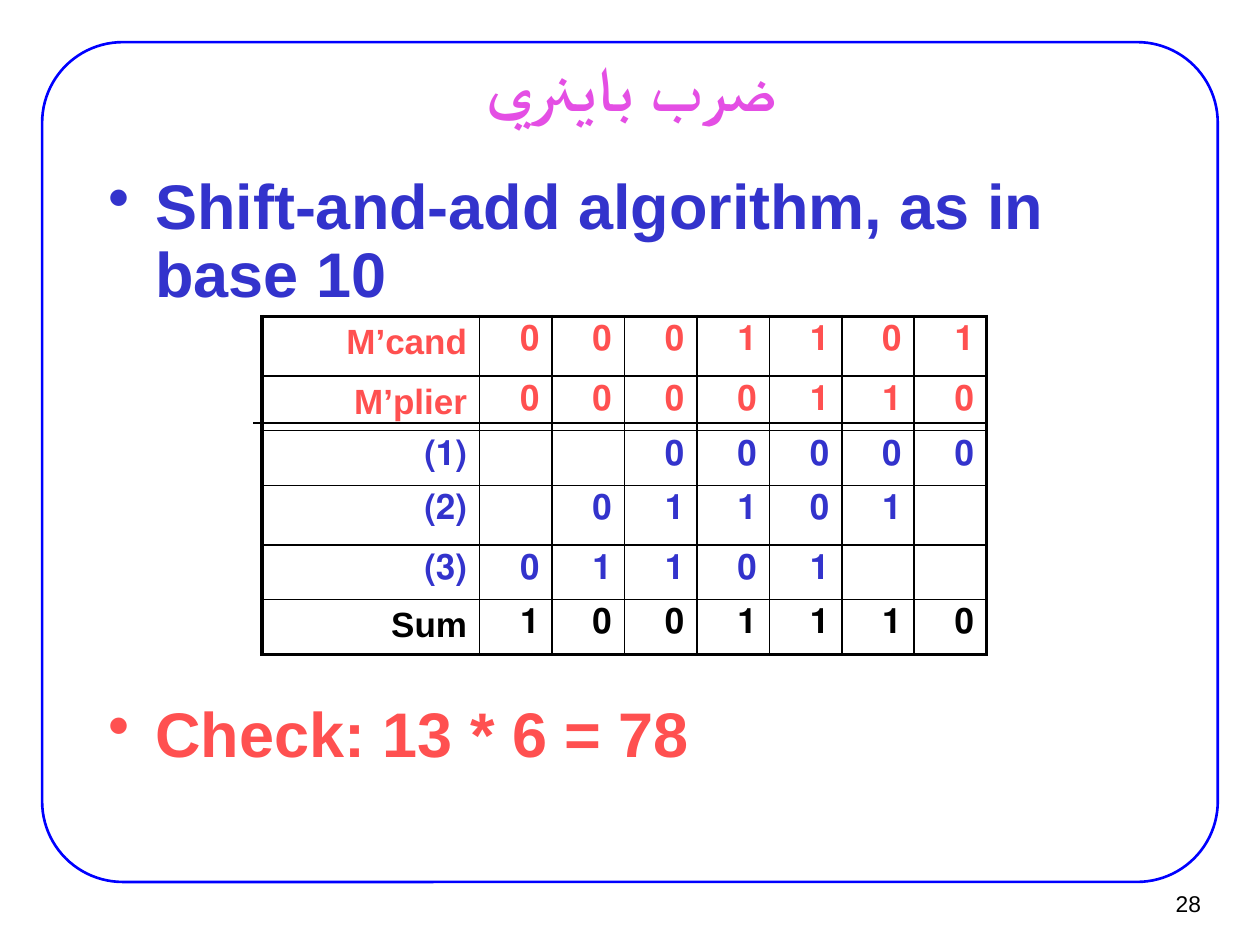
import dataclasses

import lxml.etree
import pptx
import pptx.dml.color
import pptx.enum.shapes
import pptx.enum.text
import pptx.oxml.ns
import pptx.util

Cm, Pt = pptx.util.Cm, pptx.util.Pt
Align = pptx.enum.text.PP_ALIGN
Anchor = pptx.enum.text.MSO_ANCHOR
qn = pptx.oxml.ns.qn


def rgb(code):
    return pptx.dml.color.RGBColor.from_string(code)


@dataclasses.dataclass(frozen=True)
class Theme:
    face: str = "Arial"
    frame: str = "0000FF"
    pink: str = "E44EE4"
    blue: str = "3333CC"
    red: str = "FF5050"
    black: str = "000000"
    big: int = 36
    cell: int = 20
    small: int = 13


theme = Theme()


def style(para, size, color, bold=True):
    for run in para.runs:
        run.font.name = theme.face
        run.font.size = Pt(size)
        run.font.bold = bold
        run.font.color.rgb = rgb(color)


deck = pptx.Presentation()
deck.slide_width, deck.slide_height = Cm(25.4), Cm(19.05)
slide = deck.slides.add_slide(deck.slide_layouts[6])
shapes = slide.shapes

# Rounded frame
frame = shapes.add_shape(pptx.enum.shapes.MSO_SHAPE.ROUNDED_RECTANGLE,
                         Cm(0.85), Cm(0.85), Cm(23.7), Cm(16.93))
frame.adjustments[0] = 0.096
frame.shadow.inherit = False
frame.fill.background()
frame.line.color.rgb = rgb(theme.frame)
frame.line.width = Pt(1.5)

# Page number and title
for text, place, align, size, color, bold in [
    ("28", (22.91, 17.75, 1.55, 0.94), Align.RIGHT, theme.small, theme.black, False),
    ("ضرب باينري", (1.93, 1.12, 21.59, 1.24), Align.CENTER, theme.big, theme.pink, True),
]:
    box = shapes.add_textbox(*map(Cm, place)).text_frame
    box.word_wrap = bold
    box.vertical_anchor = Anchor.MIDDLE
    box.text = text
    box.paragraphs[0].alignment = align
    style(box.paragraphs[0], size, color, bold)

# Bullets above and below the table
body = shapes.add_textbox(Cm(1.9), Cm(3.38), Cm(21.59), Cm(12.9)).text_frame
body.word_wrap = True
body.margin_left = body.margin_right = Cm(0.28)
body.margin_top = body.margin_bottom = Cm(0.15)
body.text = "Shift-and-add algorithm, as in base 10\nCheck: 13 * 6 = 78"
for para, color in zip(body.paragraphs, (theme.blue, theme.red)):
    props = para._p.get_or_add_pPr()
    props.set("marL", str(Cm(0.95)))
    props.set("indent", str(-Cm(0.95)))
    lxml.etree.SubElement(props, qn("a:buChar"), char="•")
    para.line_spacing = 0.9
    style(para, theme.big, color)
body.paragraphs[1].space_before = Pt(224)

# Multiplication table: label, digits (a space is an empty cell), color
rows = [
    ("M’cand", "0001101", theme.red),
    ("M’plier", "0000110", theme.red),
    ("(1)", "  00000", theme.blue),
    ("(2)", " 01101 ", theme.blue),
    ("(3)", "01101  ", theme.blue),
    ("Sum", "1001110", theme.black),
]
grid = shapes.add_table(6, 8, Cm(5.28), Cm(6.38), Cm(14.6), Cm(6.8)).table
grid.first_row = grid.horz_banding = False
for c, col in enumerate(grid.columns):
    col.width = Cm(1.46 if c else 4.39)
for r, (label, bits, color) in enumerate(rows):
    grid.rows[r].height = Cm(1.2 if r in (0, 3) else 1.1)
    for c, text in enumerate([label, *bits]):
        cell = grid.cell(r, c)
        cell.fill.background()
        cell.text = text.strip()
        para = cell.text_frame.paragraphs[0]
        para.alignment = Align.RIGHT
        para._p.get_or_add_pPr().set("rtl", "1")
        style(para, theme.cell, color)
        edges = {"a:lnL": c == 0, "a:lnR": c == 7, "a:lnT": r == 0, "a:lnB": r == 5}
        props = cell._tc.get_or_add_tcPr()
        for spot, (tag, outer) in enumerate(edges.items()):
            edge = lxml.etree.Element(qn(tag), w=str(Pt(2.25 if outer else 1)))
            fill = lxml.etree.SubElement(edge, qn("a:solidFill"))
            lxml.etree.SubElement(fill, qn("a:srgbClr"), val=theme.black)
            props.insert(spot, edge)

# Rule under the multiplier
rule = shapes.add_connector(pptx.enum.shapes.MSO_CONNECTOR.STRAIGHT,
                            Cm(5.11), Cm(8.53), Cm(19.91), Cm(8.53))
rule.line.color.rgb = rgb(theme.black)
rule.line.width = Pt(0.75)
lxml.etree.SubElement(rule._element.spPr, qn("a:effectLst"))

deck.save("out.pptx")
